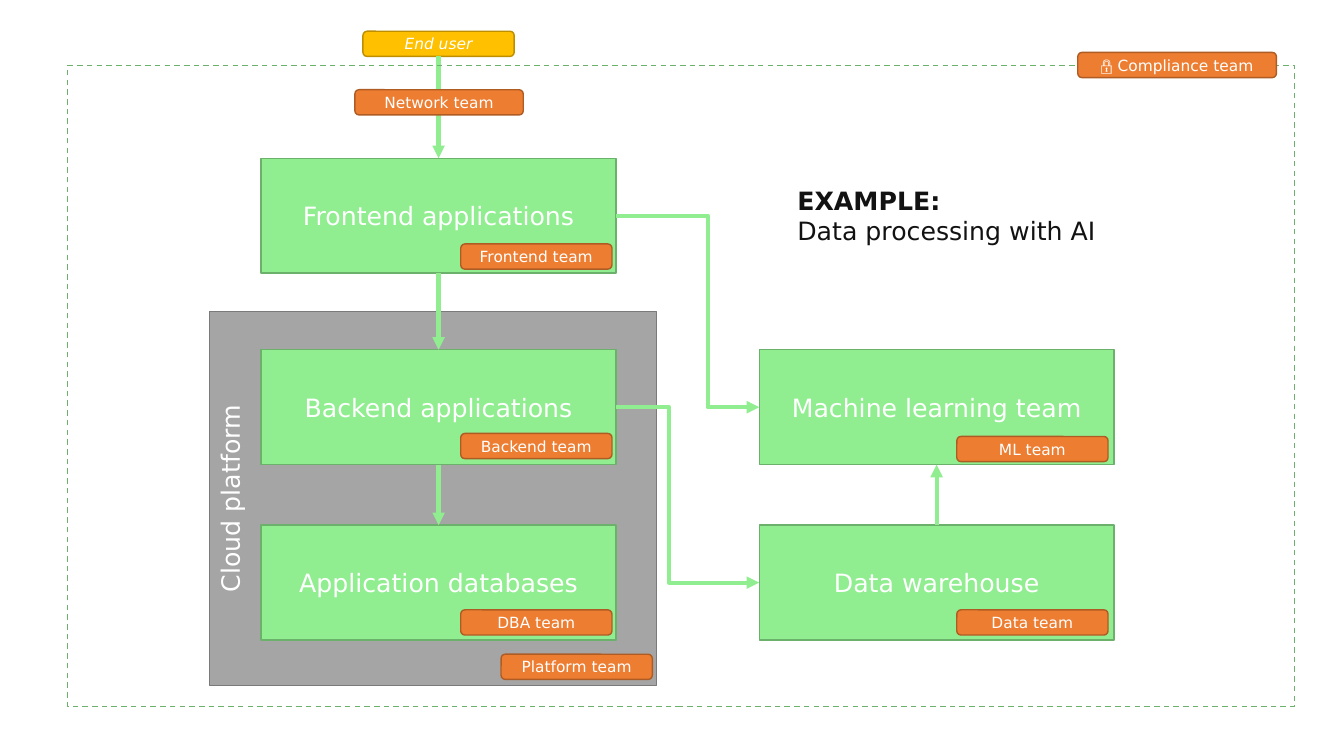
from dataclasses import dataclass
from typing import Optional

from lxml.etree import SubElement
from pptx import Presentation
from pptx.dml.color import RGBColor
from pptx.enum.dml import MSO_LINE
from pptx.enum.shapes import MSO_CONNECTOR, MSO_SHAPE
from pptx.enum.text import MSO_ANCHOR, PP_ALIGN
from pptx.oxml.ns import qn
from pptx.util import Pt

PX = 9144  # EMU per px, 100 px to the inch

WHITE = RGBColor(0xFF, 0xFF, 0xFF)
INK = RGBColor(0x12, 0x12, 0x12)
GREEN = RGBColor(0x90, 0xEE, 0x90)
GREEN_EDGE = RGBColor(0x6B, 0xB0, 0x6B)
GRAY = RGBColor(0xA5, 0xA5, 0xA5)
GRAY_EDGE = RGBColor(0x7A, 0x7A, 0x7A)
ORANGE = RGBColor(0xED, 0x7D, 0x31)
ORANGE_EDGE = RGBColor(0xAF, 0x5C, 0x24)
YELLOW = RGBColor(0xFF, 0xC0, 0x00)
YELLOW_EDGE = RGBColor(0xBD, 0x8E, 0x00)

TITLE = {"name": "DejaVu Sans", "size": Pt(18)}
LABEL = {"name": "DejaVu Sans", "size": Pt(11)}
TOP, LEFT, BOTTOM, RIGHT = range(4)

APP_X, DATA_X = 259, 753
BOX_W, BOX_H = 352, 114
BADGE_W, BADGE_H = 150, 25


@dataclass(frozen=True)
class Box:
    text: str
    x: int
    y: int
    w: int = BOX_W
    h: int = BOX_H
    fill: Optional[RGBColor] = GREEN
    edge: RGBColor = GREEN_EDGE


@dataclass(frozen=True)
class Badge:
    text: str
    x: int
    y: int
    w: int = BADGE_W
    icon: str = ""


@dataclass(frozen=True)
class Arrow:
    start: str
    start_site: int
    end: str
    end_site: int
    bend: Optional[float] = None


PLATFORM = Box("Cloud platform", 208, 309, 443, 371, GRAY, GRAY_EDGE)
FRAME = Box("", 67, 65, 1217, 636, None)

BOXES = [
    Box("Frontend applications", APP_X, 157),
    Box("Backend applications", APP_X, 347),
    Box("Application databases", APP_X, 521),
    Box("Machine learning team", DATA_X, 347),
    Box("Data warehouse", DATA_X, 521),
]

BADGES = [
    Badge("Network team", 352, 89, 167),
    Badge("Frontend team", 457, 242),
    Badge("Backend team", 457, 430),
    Badge("DBA team", 457, 605),
    Badge("Platform team", 497, 649),
    Badge("ML team", 949, 433),
    Badge("Data team", 949, 605),
    Badge(" Compliance team", 1069, 52, 197, "🔒"),
]

ARROWS = [
    Arrow("End user", BOTTOM, "Frontend applications", TOP),
    Arrow("Frontend applications", BOTTOM, "Backend applications", TOP),
    Arrow("Backend applications", BOTTOM, "Application databases", TOP),
    Arrow("Data warehouse", TOP, "Machine learning team", BOTTOM),
    Arrow("Backend applications", RIGHT, "Data warehouse", LEFT, 0.37),
    Arrow("Frontend applications", RIGHT, "Machine learning team", LEFT, 0.64),
]


def add_run(p, text: str, formats: dict, color: RGBColor = WHITE) -> None:
    r = p.add_run()
    r.text = text
    for key, value in formats.items():
        setattr(r.font, key, value)
    r.font.color.rgb = color


def add_box(shapes, box: Box, formats: dict, kind=MSO_SHAPE.RECTANGLE,
            icon: str = ""):
    sp = shapes.add_shape(kind, *(v * PX for v in (box.x, box.y, box.w, box.h)))
    sp.shadow.inherit = False
    if box.fill is None:
        sp.fill.background()
    else:
        sp.fill.solid()
        sp.fill.fore_color.rgb = box.fill
    sp.line.color.rgb = box.edge
    sp.line.width = Pt(1)
    if box.text:
        tf = sp.text_frame
        tf.vertical_anchor = MSO_ANCHOR.MIDDLE
        p = tf.paragraphs[0]
        p.alignment = PP_ALIGN.CENTER
        if icon:
            add_run(p, icon, {**formats, "name": "Lato"})
        add_run(p, box.text, formats)
    return sp


def add_badge(shapes, badge: Badge, fill: RGBColor = ORANGE,
              edge: RGBColor = ORANGE_EDGE, **extra):
    box = Box(badge.text, badge.x, badge.y, badge.w, BADGE_H, fill, edge)
    return add_box(shapes, box, {**LABEL, **extra},
                   MSO_SHAPE.ROUNDED_RECTANGLE, badge.icon)


def add_arrow(shapes, arrow: Arrow, nodes: dict) -> None:
    kind = MSO_CONNECTOR.STRAIGHT if arrow.bend is None else MSO_CONNECTOR.ELBOW
    line = shapes.add_connector(kind, 0, 0, 0, 0)
    line.begin_connect(nodes[arrow.start], arrow.start_site)
    line.end_connect(nodes[arrow.end], arrow.end_site)
    line.line.color.rgb = GREEN
    line.line.width = Pt(3)
    SubElement(line.line._get_or_add_ln(), qn("a:tailEnd"), type="triangle")
    sp_pr = line._element.spPr
    SubElement(sp_pr, qn("a:effectLst"))
    if arrow.bend is not None:
        guides = sp_pr.find(qn("a:prstGeom")).get_or_add_avLst()
        SubElement(guides, qn("a:gd"), name="adj1",
                   fmla=f"val {round(arrow.bend * 100000)}")


def add_heading(shapes) -> None:
    tf = shapes.add_textbox(781 * PX, 179 * PX, 335 * PX, 71 * PX).text_frame
    tf.word_wrap = True
    add_run(tf.paragraphs[0], "EXAMPLE:", {**TITLE, "bold": True}, INK)
    add_run(tf.add_paragraph(), "Data processing with AI", TITLE, INK)


def main() -> None:
    prs = Presentation()
    prs.slide_width, prs.slide_height = 1333 * PX, 750 * PX
    shapes = prs.slides.add_slide(prs.slide_layouts[6]).shapes

    # Cloud platform with its sideways title
    tf = add_box(shapes, PLATFORM, TITLE).text_frame
    tf.vertical_anchor = MSO_ANCHOR.TOP
    tf._txBody.bodyPr.set("vert", "vert270")

    # Systems and the end user, joined by arrows
    nodes = {box.text: add_box(shapes, box, TITLE) for box in BOXES}
    nodes["End user"] = add_badge(shapes, Badge("End user", 360, 31),
                                  YELLOW, YELLOW_EDGE, italic=True)
    for arrow in ARROWS:
        add_arrow(shapes, arrow, nodes)

    # Compliance boundary
    add_box(shapes, FRAME, TITLE).line.dash_style = MSO_LINE.DASH

    # Responsible teams
    for badge in BADGES:
        add_badge(shapes, badge)

    add_heading(shapes)
    prs.save("out.pptx")


if __name__ == "__main__":
    main()
